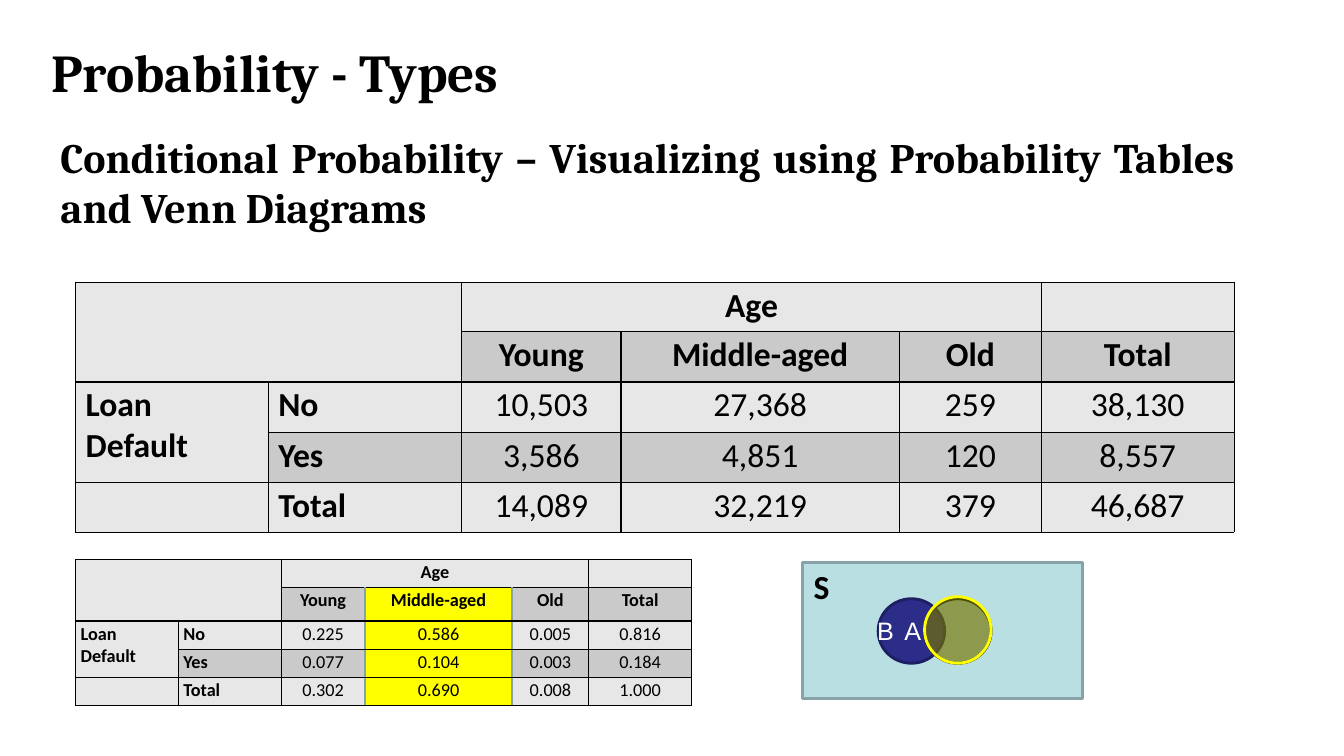
from dataclasses import dataclass

from lxml import etree
from pptx import Presentation
from pptx.dml.color import RGBColor
from pptx.enum.shapes import MSO_SHAPE
from pptx.enum.text import MSO_ANCHOR, PP_ALIGN
from pptx.oxml.ns import qn
from pptx.util import Inches, Pt

LEFT, CENTER, JUSTIFY = PP_ALIGN.LEFT, PP_ALIGN.CENTER, PP_ALIGN.JUSTIFY
TOP, MIDDLE = MSO_ANCHOR.TOP, MSO_ANCHOR.MIDDLE
RECT, OVAL = MSO_SHAPE.RECTANGLE, MSO_SHAPE.OVAL
BLACK, WHITE, YELLOW = "000000", "FFFFFF", "FFFF00"
LIGHT, DARK, TEAL = "E7E7E7", "CACACA", "88A3A7"


@dataclass
class ProbabilityTable:
    """Place, sizes and values of one loan default table."""
    top: float
    widths: list[float]
    heights: list[float]
    values: list[list[str]]
    size: int
    indent: float
    inset: float
    bottom_line: float
    highlight: int | None = None


@dataclass
class VennPart:
    """One outlined area of the Venn diagram."""
    kind: MSO_SHAPE
    box: tuple[float, float, float, float]
    fill: str
    line: str
    alpha: int = 100


TABLES = [
    ProbabilityTable(
        2.8, [1.91, 1.92, 1.58, 2.76, 1.41, 1.91], [0.49, 0.5, 0.5, 0.5, 0.49],
        [["10,503", "27,368", "259", "38,130"],
         ["3,586", "4,851", "120", "8,557"],
         ["14,089", "32,219", "379", "46,687"]],
        24, 0.1, 0.03, 0.5),
    ProbabilityTable(
        5.55, [1.02, 1.02, 0.83, 1.46, 0.76, 1.02], [0.28, 0.33, 0.28, 0.28, 0.28],
        [["0.225", "0.586", "0.005", "0.816"],
         ["0.077", "0.104", "0.003", "0.184"],
         ["0.302", "0.690", "0.008", "1.000"]],
        13, 0.05, 0.02, 0.75, highlight=3),
]
VENN = [
    VennPart(RECT, (7.96, 5.58, 2.78, 1.35), "BADFE2", TEAL),
    VennPart(OVAL, (8.71, 5.94, 0.66, 0.64), "2C2C89", "1E1E63"),
    VennPart(OVAL, (9.17, 5.94, 0.66, 0.64), BLACK, BLACK, 50),
    VennPart(OVAL, (9.17, 5.92, 0.66, 0.66), YELLOW, YELLOW, 30),
]


def rgb(value: str) -> RGBColor:
    """Turn a hex string into a colour."""
    return RGBColor.from_string(value)


def paint(fill, color: str, alpha: int = 100) -> None:
    """Apply a solid fill with an opacity in percent."""
    fill.solid()
    fill.fore_color.rgb = rgb(color)
    if alpha < 100:
        clr = fill._xPr.find(".//" + qn("a:srgbClr"))
        etree.SubElement(clr, qn("a:alpha"), val=str(alpha * 1000))


def write(p, text: str, size: float, font: str = "Calibri", color: str = BLACK,
          bold: bool = True, align=LEFT) -> None:
    """Write one formatted run into a paragraph."""
    p.alignment = align
    r = p.add_run()
    r.text = text
    r.font.size, r.font.name, r.font.bold = Pt(size), font, bold
    r.font.color.rgb = rgb(color)


def frame(shape, box: tuple, insets: tuple, anchor=TOP):
    """Place a text shape and return its text frame."""
    shape.left, shape.top, shape.width, shape.height = map(Inches, box)
    tf = shape.text_frame
    tf.word_wrap, tf.vertical_anchor = True, anchor
    tf.margin_left, tf.margin_top, tf.margin_right, tf.margin_bottom = map(Inches, insets)
    return tf


def border(cell, side: str, color: str, width: float) -> None:
    """Draw one side of a table cell."""
    tc_pr = cell._tc.get_or_add_tcPr()
    ln = etree.SubElement(tc_pr, qn(f"a:ln{side}"), w=str(int(Pt(width))))
    fill = etree.SubElement(ln, qn("a:solidFill"))
    etree.SubElement(fill, qn("a:srgbClr"), val=color)


def side_line(t: ProbabilityTable, side: str, row: int, col: int) -> tuple[str, float]:
    """Choose colour and width for one side of a cell."""
    if row and t.highlight is not None:
        near = {"L": (t.highlight, t.highlight + 1), "R": (t.highlight - 1, t.highlight)}
        if col in near.get(side, ()):
            return TEAL, 2.25
    outer = {"L": (col == 0, 0.75), "R": (col == 5, 0.75),
             "T": (row == 0, 0.5), "B": (row == 4, t.bottom_line)}
    at_edge, width = outer[side]
    return BLACK, width if at_edge else 1


def add_probability_table(s, t: ProbabilityTable) -> None:
    """Add one table with merged headings, fills and borders."""
    table = s.shapes.add_table(5, 6, Inches(0.75), Inches(t.top),
                               Inches(sum(t.widths)), Inches(sum(t.heights))).table
    table.first_row = table.horz_banding = False
    for column, width in zip(table.columns, t.widths):
        column.width = Inches(width)
    for row, height in zip(table.rows, t.heights):
        row.height = Inches(height)
    for start, end in (((0, 0), (1, 1)), ((0, 2), (0, 4)), ((2, 0), (3, 0))):
        table.cell(*start).merge(table.cell(*end))
    texts = [["", "", "Age", "", "", ""],
             ["", "", "Young", "Middle-aged", "Old", "Total"]]
    for group, label, values in zip(("Loan Default", "", ""), ("No", "Yes", "Total"), t.values):
        texts.append([group, label, *values])
    for i, row in enumerate(texts):
        for j, text in enumerate(row):
            cell = table.cell(i, j)
            is_label = j < 2
            cell.margin_left = Inches(t.indent if is_label else 0)
            cell.margin_right = Inches(0.15 if j == 0 else 0)
            cell.margin_top, cell.margin_bottom = Inches(t.inset), 0
            if not cell.is_spanned:
                for side in "LRTB":
                    border(cell, side, *side_line(t, side, i, j))
            if i and j == t.highlight:
                paint(cell.fill, YELLOW, 30)
            else:
                paint(cell.fill, DARK if i % 2 and j else LIGHT)
            p = cell.text_frame.paragraphs[0]
            if text:
                write(p, text, t.size, bold=is_label or i < 2,
                      align=LEFT if is_label else CENTER)
            else:
                etree.SubElement(p._p, qn("a:endParaRPr"), sz=str(t.size * 100))


def add_venn(s) -> None:
    """Add the sample space, both events and their labels."""
    for part in VENN:
        shape = s.shapes.add_shape(part.kind, *map(Inches, part.box))
        shape.shadow.inherit = False
        paint(shape.fill, part.fill, part.alpha)
        shape.line.color.rgb = rgb(part.line)
        shape.line.width = Pt(2.04)
    tf = frame(s.shapes.add_textbox(0, 0, 0, 0), (8.07, 5.47, 1.53, 0.94), (0, 0.14, 0, 0))
    write(tf.paragraphs[0], "S", 24)
    p = tf.add_paragraph()
    p_pr = p._p.get_or_add_pPr()
    p_pr.set("marL", str(Inches(0.9)))
    tabs = etree.SubElement(p_pr, qn("a:tabLst"))
    etree.SubElement(tabs, qn("a:tab"), pos=str(Inches(1.35)), algn="l")
    p.space_before = Pt(6.7)
    write(p, "A\tB", 18, font="Arial", color=WHITE, bold=False)


def main() -> None:
    """Build and save the slide."""
    prs = Presentation()
    prs.slide_width, prs.slide_height = Inches(13.33), Inches(7.5)
    s = prs.slides.add_slide(prs.slide_layouts[5])
    tf = frame(s.shapes.title, (0.59, 1.16, 11.66, 1.15), (0.01, 0.14, 0, 0), MIDDLE)
    write(tf.paragraphs[0],
          "Conditional Probability – Visualizing using Probability Tables and Venn Diagrams",
          30, font="Cambria", align=JUSTIFY)
    for table in TABLES:
        add_probability_table(s, table)
    add_venn(s)
    tf = frame(s.shapes.add_textbox(0, 0, 0, 0), (0.4, 0.36, 12.53, 0.78),
               (0.11, 0.05, 0.1, 0.05), MIDDLE)
    p = tf.paragraphs[0]
    p.line_spacing = 0.9
    write(p, "Probability - Types", 38, font="Cambria")
    prs.save("out.pptx")


if __name__ == "__main__":
    main()
